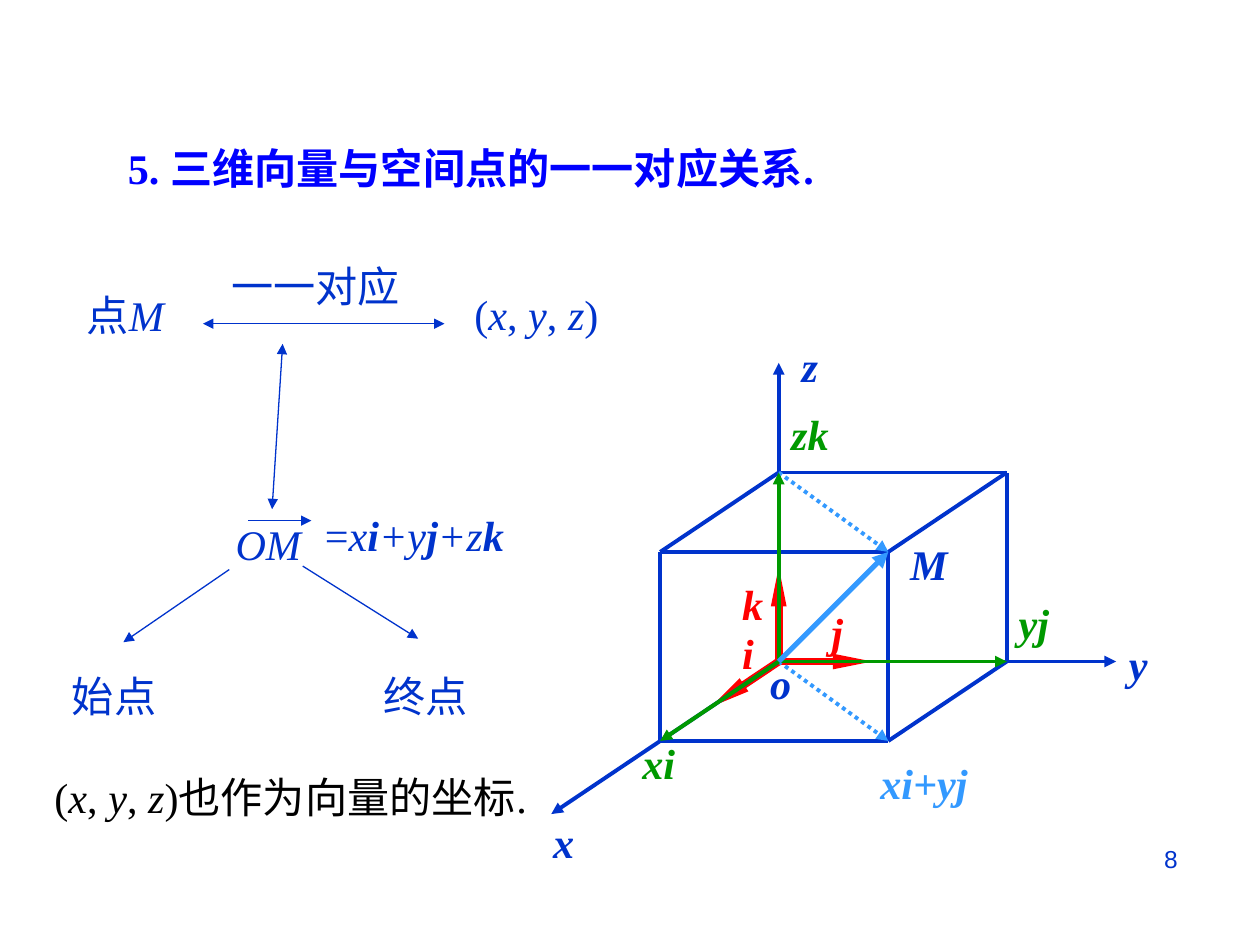
from lxml import etree
from pptx import Presentation
from pptx.dml.color import RGBColor
from pptx.enum import dml, shapes, text
from pptx.oxml import ns
from pptx.util import Pt

COLORS = {"blue": "0033CC", "title": "0000FF", "red": "FF0000",
          "green": "009900", "sky": "3399FF", "black": "000000"}
LINE_H = 36.5
COORDS = [("(", ""), ("x", "i"), (", ", ""), ("y", "i"), (", ", ""), ("z", "i")]


def add_text(s, x, y, w, runs, color="blue", wrap=False):
    """Add a one-line box of (text, style) runs, where style holds b and i."""
    sp = s.shapes.add_textbox(Pt(x), Pt(y), Pt(w), Pt(LINE_H))
    tf = sp.text_frame
    tf.word_wrap = wrap
    tf.auto_size = text.MSO_AUTO_SIZE.SHAPE_TO_FIT_TEXT
    p = tf.paragraphs[0]
    for words, style in runs:
        r = p.add_run()
        r.text = words
        r.font.size = Pt(24.1)
        r.font.name = "Times New Roman"
        r.font.bold = "b" in style
        r.font.italic = "i" in style
        r.font.color.rgb = RGBColor.from_string(COLORS[color])


def add_line(s, start, end, color="blue", width=0.75, ends=("tailEnd",),
             dotted=False, slim=False):
    """Draw a straight line with triangle heads at the named ends."""
    sp = s.shapes.add_connector(shapes.MSO_CONNECTOR.STRAIGHT,
                                *(Pt(v) for v in (*start, *end)))
    sp.line.width = Pt(width)
    sp.line.color.rgb = RGBColor.from_string(COLORS[color])
    if dotted:
        sp.line.dash_style = dml.MSO_LINE.ROUND_DOT
    for tag in ends:
        head = etree.SubElement(sp.line._get_or_add_ln(), ns.qn("a:" + tag), type="triangle")
        if slim:
            head.set("w", "sm")
            head.set("len", "lg")
    etree.SubElement(sp._element.spPr, ns.qn("a:effectLst"))


def add_heading(s, x, y, w):
    """Place the section heading."""
    add_text(s, x, y, w, [("5. 三维向量与空间点的一一对应关系.", "b")], "title", wrap=True)


def add_correspondence(s, x, y):
    """Link point, coordinates and vector, with the box corner at x, y."""
    labels = [
        (8.5, 17, 65.5, [("点", ""), ("M", "i")]),
        (91, 0, 112, [("一一对应", "")]),
        (230, 16, 86, COORDS + [(")", "")]),
        (0, 234.5, 63, [("始点", "")]),
        (178, 234.5, 63, [("终点", "")]),
        (93.5, 147.5, 65, [("OM", "i")]),
        (144.5, 142.5, 118, [("=", ""), ("x", "i"), ("i", "bi"), ("+y", "i"),
                             ("j", "bi"), ("+z", "i"), ("k", "bi")]),
    ]
    for dx, dy, w, runs in labels:
        add_text(s, x + dx, y + dy, w, runs)
    both, one = ("headEnd", "tailEnd"), ("tailEnd",)
    arrows = [((82, 40), (220, 40), both), ((121.5, 146), (127.5, 51.5), both),
              ((139, 178.5), (205, 220), one), ((97, 180.5), (36.5, 222), one),
              ((108, 152.5), (144, 152.5), one)]
    for (x1, y1), (x2, y2), ends in arrows:
        add_line(s, (x + x1, y + y1), (x + x2, y + y2), ends=ends)


def add_space_box(s, ox, oy):
    """Draw the axes, box and vectors of point M around the origin ox, oy."""
    def at(a, b, c):
        return ox - 67.7 * a + 130.3 * b, oy + 45.4 * a - 108 * c

    origin, top, corner = at(0, 0, 0), at(0, 0, 1), at(1, 1, 1)
    for tip in ((0, 0, 0.5), (0.57, 0, 0), (0, 0.41, 0)):
        add_line(s, origin, at(*tip), "red", 4.5, slim=True)
    for tip in ((0, 1.48, 0), (1.92, 0, 0), (0, 0, 1.58)):
        add_line(s, origin, at(*tip), width=2.25)

    vertices = [(a, b, c) for a in (0, 1) for b in (0, 1) for c in (0, 1)]
    for v in vertices:
        for w in vertices:
            if v < w and sum(v) + 1 == sum(w) and v != (0, 0, 0):
                if sum(m != n for m, n in zip(v, w)) == 1:
                    add_line(s, at(*v), at(*w), width=2.25, ends=())

    add_line(s, origin, at(1, 1, 0), "sky", 2.25, dotted=True)
    add_line(s, top, corner, "sky", 2.25, dotted=True)
    for tip in ((1, 0, 0), (0, 1, 0), (0, 0, 1)):
        add_line(s, origin, at(*tip), "green", 2.25)
    add_line(s, origin, corner, "sky", 3)

    labels = [("z", 6, -187, 24, "blue"), ("xi", -85, 40, 34, "green"),
              ("M", 68, -74, 36, "blue"), ("y", 193, -17, 25, "blue"),
              ("x", -136, 85, 27, "blue"), ("zk", 0, -148, 36, "green"),
              ("yj", 130, -40, 32, "green"), ("j", 23, -35, 22, "red"),
              ("k", -28, -51, 27, "red"), ("i", -28, -23, 22, "red"),
              ("xi+yj", 51, 51, 65, "sky"), ("o", -12, -6, 27, "blue")]
    for name, dx, dy, w, color in labels:
        add_text(s, ox + dx, oy + dy, w, [(name, "bi")], color)


def add_note(s, x, y, w):
    """Place the closing remark on coordinates."""
    add_text(s, x, y, w, COORDS + [(")也作为向量的坐标.", "")], "black")


def add_page_number(s, x, y, w, h):
    """Place the right-aligned page number."""
    tf = s.shapes.add_textbox(Pt(x), Pt(y), Pt(w), Pt(h)).text_frame
    tf.word_wrap = True
    tf.margin_left = tf.margin_right = Pt(23)
    tf.margin_top = tf.margin_bottom = Pt(11.5)
    tf.text = "8"
    p = tf.paragraphs[0]
    p.alignment = text.PP_ALIGN.RIGHT
    r = p.runs[0]
    r.font.size = Pt(14)
    r.font.name = "Arial"
    r.font.color.rgb = RGBColor.from_string(COLORS["blue"])


def main():
    """Build the slide and save it."""
    prs = Presentation()
    prs.slide_width, prs.slide_height = Pt(720), Pt(540)
    s = prs.slides.add_slide(prs.slide_layouts[6])
    add_page_number(s, 516, 474, 180, 37.5)
    add_heading(s, 66, 78, 497.5)
    add_correspondence(s, 34, 145)
    add_space_box(s, 445, 378)
    add_note(s, 24, 437, 287)
    prs.save("out.pptx")


if __name__ == "__main__":
    main()
